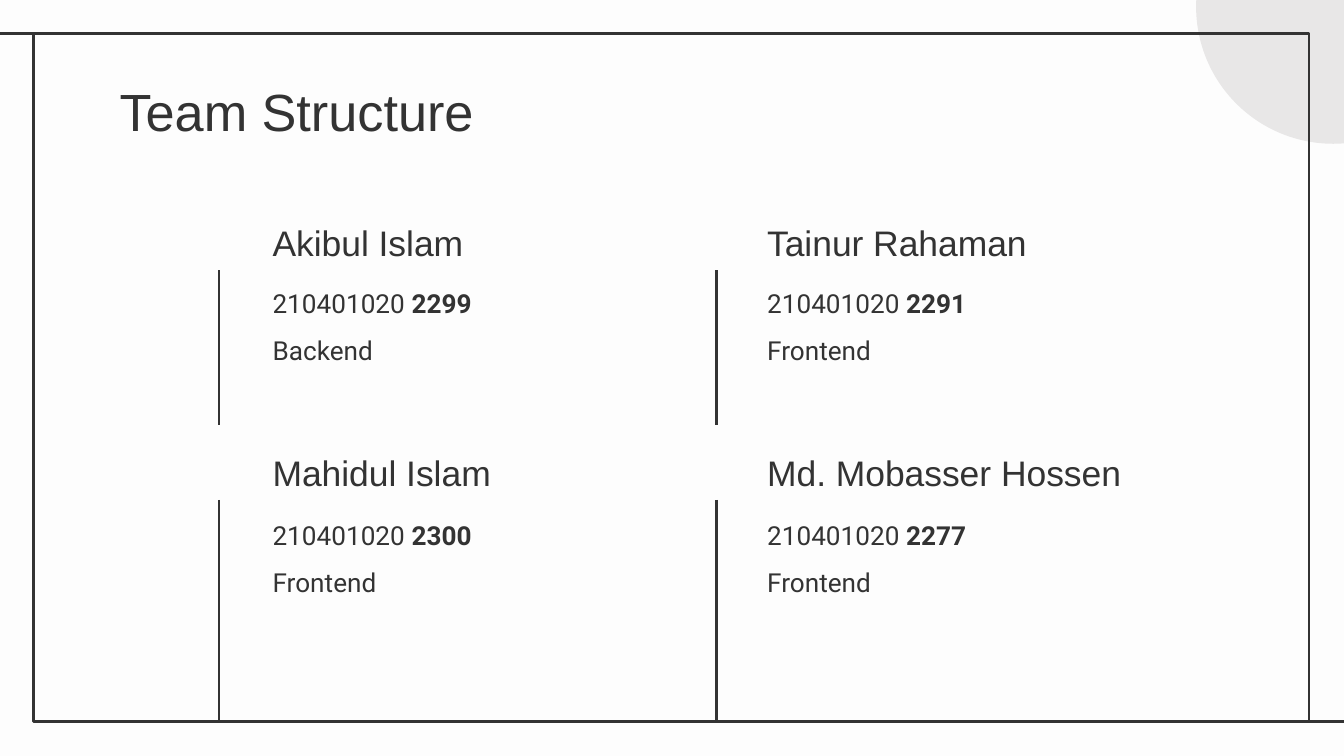
"""Build the team structure slide."""
import pptx
import pptx.util
import pptx.dml.color
import pptx.enum.shapes
import pptx.enum.text
import pptx.oxml

Inches = pptx.util.Inches
Pt = pptx.util.Pt
SHAPE = pptx.enum.shapes.MSO_SHAPE
ANCHOR = pptx.enum.text.MSO_ANCHOR
DARK = pptx.dml.color.RGBColor(0x33, 0x33, 0x33)
PALE = pptx.dml.color.RGBColor(0xFD, 0xFD, 0xFD)
GRAY = pptx.dml.color.RGBColor(0xE8, 0xE7, 0xE7)

deck = pptx.Presentation()
deck.slide_width = Inches(10)
deck.slide_height = deck.slide_width * 9 // 16
slide = deck.slides.add_slide(deck.slide_layouts[5])
slide.background.fill.solid()
slide.background.fill.fore_color.rgb = PALE
shapes = slide.shapes


def add_line(x1, y1, x2, y2):
    line = shapes.add_connector(
        pptx.enum.shapes.MSO_CONNECTOR.STRAIGHT,
        Inches(x1), Inches(y1), Inches(x2), Inches(y2))
    line.line.color.rgb = DARK
    line.line.width = Pt(1.5)
    props = line._element.spPr
    props.append(props.makeelement(pptx.oxml.ns.qn("a:effectLst"), {}))
    return line


def write(box, rows, size, font, space, anchor=ANCHOR.TOP):
    frame = box.text_frame
    frame.word_wrap = True
    frame.auto_size = pptx.enum.text.MSO_AUTO_SIZE.NONE
    frame.vertical_anchor = anchor
    frame.margin_left = frame.margin_right = Inches(0.1)
    frame.margin_top = frame.margin_bottom = Inches(0.1)
    for i, row in enumerate(rows):
        para = frame.add_paragraph() if i else frame.paragraphs[0]
        para.alignment = pptx.enum.text.PP_ALIGN.LEFT
        para.line_spacing = space
        for text, bold in row:
            run = para.add_run()
            run.text = text
            run.font.name = font
            run.font.size = Pt(size)
            run.font.bold = bold
            run.font.color.rgb = DARK


for kind, fill, x, y, wide, high in [
    (SHAPE.OVAL, GRAY, 8.9, -0.97, 2.04, 2.04),
    (SHAPE.RECTANGLE, None, 0.25, 0.25, 9.49, 5.12),
]:
    shape = shapes.add_shape(kind, Inches(x), Inches(y), Inches(wide), Inches(high))
    shape.shadow.inherit = False
    if fill:
        shape.fill.solid()
        shape.fill.fore_color.rgb = fill
        shape.line.fill.background()
    else:
        shape.fill.background()
        shape.line.color.rgb = DARK
        shape.line.width = Pt(1.5)
add_line(0.26, 0.25, 0, 0.25)
add_line(10, 5.37, 9.74, 5.37)

title = shapes.title
title.left, title.top = Inches(0.79), Inches(0.49)
title.width, title.height = Inches(8.43), Inches(0.63)
write(title, [[("Team Structure", False)]], 28, "Arial", 1)

for x in (1.63, 5.33):
    gap = shapes.add_shape(SHAPE.RECTANGLE, Inches(x - 0.28), Inches(3.16),
                           Inches(0.56), Inches(0.56))
    gap.shadow.inherit = False
    gap.fill.solid()
    gap.fill.fore_color.rgb = PALE
    gap.line.fill.background()
    add_line(x, 2.01, x, 3.16).end_connect(gap, 0)
    add_line(x, 3.72, x, 5.37).begin_connect(gap, 2)

team = [
    (1.93, 1.67, 1.92, "Akibul Islam", "2299", "Backend"),
    (5.61, 1.67, 1.92, "Tainur Rahaman", "2291", "Frontend"),
    (1.93, 3.38, 3.65, "Mahidul Islam", "2300", "Frontend"),
    (5.61, 3.38, 3.65, "Md. Mobasser Hossen", "2277", "Frontend"),
]
for left, top, low, name, code, role in team:
    head = shapes.add_textbox(Inches(left), Inches(top), Inches(2.94), Inches(0.39))
    write(head, [[(name, False)]], 19, "Arial", 1.15, ANCHOR.BOTTOM)
    body = shapes.add_textbox(Inches(left), Inches(low), Inches(2.94), Inches(1))
    rows = [[("210401020 ", False), (code, True)], [(role, False)]]
    write(body, rows, 14, "Roboto", 1.5)

deck.save("out.pptx")
